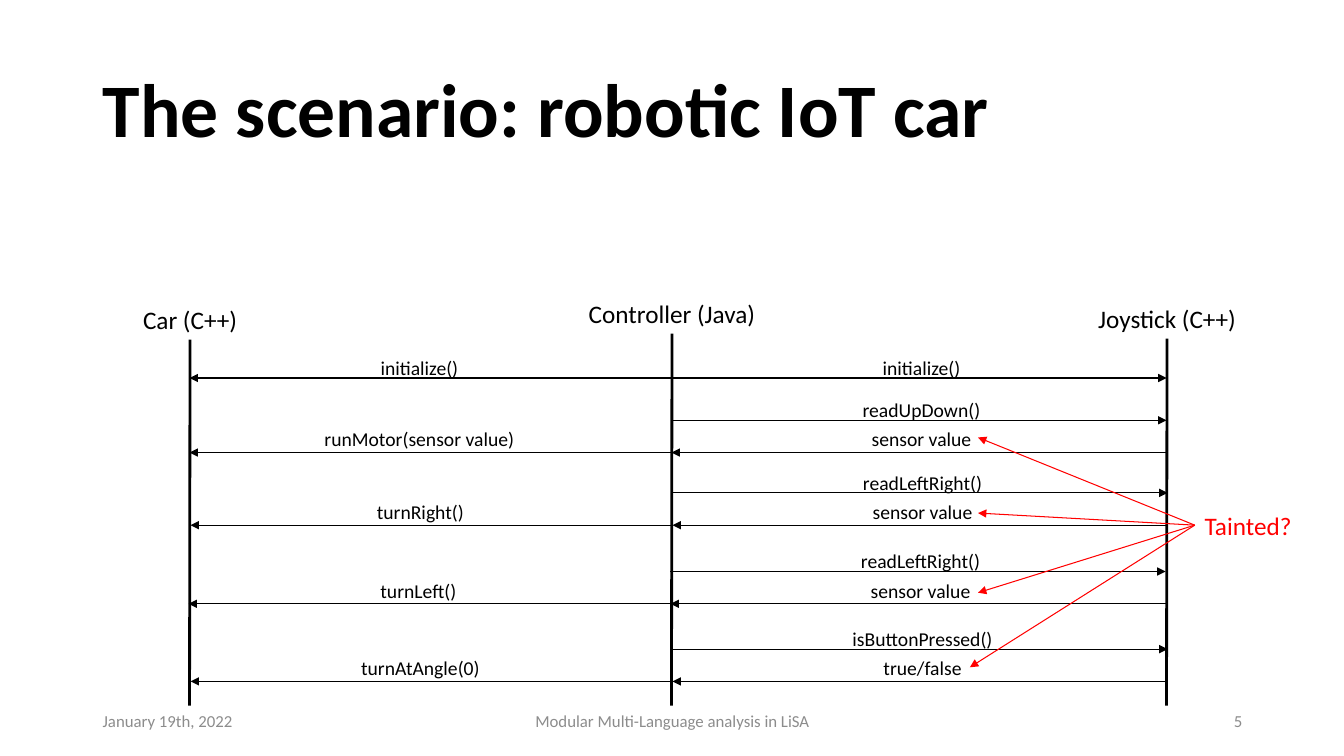
from dataclasses import dataclass

from lxml import etree
from pptx import Presentation
from pptx.dml.color import RGBColor
from pptx.enum.shapes import MSO_CONNECTOR
from pptx.enum.text import MSO_ANCHOR, MSO_AUTO_SIZE, PP_ALIGN
from pptx.oxml.ns import qn
from pptx.util import Inches, Pt

STRAIGHT = MSO_CONNECTOR.STRAIGHT
TOP, MIDDLE = MSO_ANCHOR.TOP, MSO_ANCHOR.MIDDLE
NO_FIT, GROW = MSO_AUTO_SIZE.NONE, MSO_AUTO_SIZE.SHAPE_TO_FIT_TEXT
LEFT, CENTER, RIGHT = PP_ALIGN.LEFT, PP_ALIGN.CENTER, PP_ALIGN.RIGHT
LEFT_SIDE, BOTTOM_SIDE = 1, 2


@dataclass(frozen=True)
class Theme:
    font: str = "Calibri"
    ink: RGBColor = RGBColor(0, 0, 0)
    alert: RGBColor = RGBColor(0xFF, 0, 0)
    muted: RGBColor = RGBColor(0x8C, 0x8C, 0x8C)
    title: int = 54
    actor: int = 18
    message: int = 14
    footer: int = 12
    lifeline: float = 2
    arrow: float = 0.75


THEME = Theme()

ACTORS = [("Car (C++)", 1.08, 0.06), ("Controller (Java)", 5.86, 0), ("Joystick (C++)", 10.77, 0.05)]
EXCHANGES = [
    (1.26, 0, "readUpDown()", "sensor value", "runMotor(sensor value)", (8.9, 1.43)),
    (1.98, 0.01, "readLeftRight()", "sensor value", "turnRight()", (8.9, 2.18)),
    (2.76, -0.01, "readLeftRight()", "sensor value", "turnLeft()", (8.9, 2.97)),
    (3.53, 0.01, "isButtonPressed()", "true/false", "turnAtAngle(0)", (8.82, 3.71)),
]


def write(frame, text, size, color, align=LEFT, anchor=TOP, fit=NO_FIT, bold=False):
    frame.word_wrap = True
    frame.auto_size = fit
    frame.vertical_anchor = anchor
    para = frame.paragraphs[0]
    para.alignment = align
    span = para.add_run()
    span.text = text
    span.font.name = THEME.font
    span.font.size = Pt(size)
    span.font.bold = bold
    span.font.color.rgb = color
    return para


def add_label(page, box, text, size, color, **options):
    label = page.shapes.add_textbox(*(Inches(value) for value in box))
    write(label.text_frame, text, size, color, **options)
    return label


def add_line(page, start, end, color, width, arrow=True):
    line = page.shapes.add_connector(STRAIGHT, *(Inches(value) for value in (*start, *end)))
    line.line.color.rgb = color
    line.line.width = Pt(width)
    properties = line._element.spPr
    if arrow:
        etree.SubElement(properties.find(qn("a:ln")), qn("a:tailEnd"), type="triangle")
    etree.SubElement(properties, qn("a:effectLst"))
    return line


def add_title(page, box):
    title = page.shapes.title
    title.left, title.top, title.width, title.height = (Inches(value) for value in box)
    para = write(title.text_frame, "The scenario: robotic IoT car", THEME.title, THEME.ink,
                 anchor=MIDDLE, bold=True)
    para.line_spacing = 0.9


def add_lifelines(page, box):
    left, top, _, height = box
    for name, x, drop in ACTORS:
        label = add_label(page, (left + x - 0.95, top + drop, 1.91, 0.4), name,
                          THEME.actor, THEME.ink, align=CENTER, fit=GROW)
        line = add_line(page, (left + x, top + drop + 0.4), (left + x, top + height),
                        THEME.ink, THEME.lifeline, arrow=False)
        line.begin_connect(label, BOTTOM_SIDE)


def add_messages(page, box):
    left, top = box[:2]
    car, controller, joystick = (left + x for _, x, _ in ACTORS)
    car_label, joystick_label = left + 3.36, left + 8.34

    def send(start, end, y, shift, center, text, rise):
        add_line(page, (start + shift, y), (end + shift, y), THEME.ink, THEME.arrow)
        add_label(page, (center + shift - 1.06, y - rise, 2.12, 0.34), text,
                  THEME.message, THEME.ink, align=CENTER, fit=GROW)

    send(controller, joystick, top + 0.84, 0, joystick_label, "initialize()", 0.27)
    send(controller, car, top + 0.84, 0, car_label, "initialize()", 0.27)
    for offset, shift, request, reply, command, _ in EXCHANGES:
        call = top + offset
        answer = call + 0.32
        send(controller, joystick, call, shift, joystick_label, request, 0.27)
        send(joystick, controller, answer, shift, joystick_label, reply, 0.3)
        send(controller, car, answer, shift, car_label, command, 0.3)


def add_taint(page, box):
    left, top = box[:2]
    source_x, source_y = left + 11.05, top + 2.3
    label = add_label(page, (source_x, source_y - 0.2, 1.09, 0.4), "Tainted?",
                      THEME.actor, THEME.alert, fit=GROW)
    for *_, (x, y) in EXCHANGES:
        arrow = add_line(page, (source_x, source_y), (left + x, top + y),
                         THEME.alert, THEME.arrow)
        arrow.begin_connect(label, LEFT_SIDE)


def add_footer(page, box):
    left, top, width, height = box
    parts = [
        ("January 19th, 2022", 0, 3, LEFT),
        ("Modular Multi-Language analysis in LiSA", (width - 4.5) / 2, 4.5, CENTER),
        ("5", width - 3, 3, RIGHT),
    ]
    for text, x, part_width, align in parts:
        add_label(page, (left + x, top, part_width, height), text,
                  THEME.footer, THEME.muted, align=align, anchor=MIDDLE)


def build_scenario(deck):
    page = deck.slides.add_slide(deck.slide_layouts.get_by_name("Title Only"))
    diagram = (0.8, 2.91, 12.14, 4.09)
    add_lifelines(page, diagram)
    add_messages(page, diagram)
    add_taint(page, diagram)
    add_title(page, (0.92, 0.4, 11.5, 1.45))
    add_footer(page, (0.92, 6.95, 11.5, 0.4))


def main():
    deck = Presentation()
    deck.slide_width, deck.slide_height = Inches(13.33), Inches(7.5)
    build_scenario(deck)
    deck.save("out.pptx")


if __name__ == "__main__":
    main()
